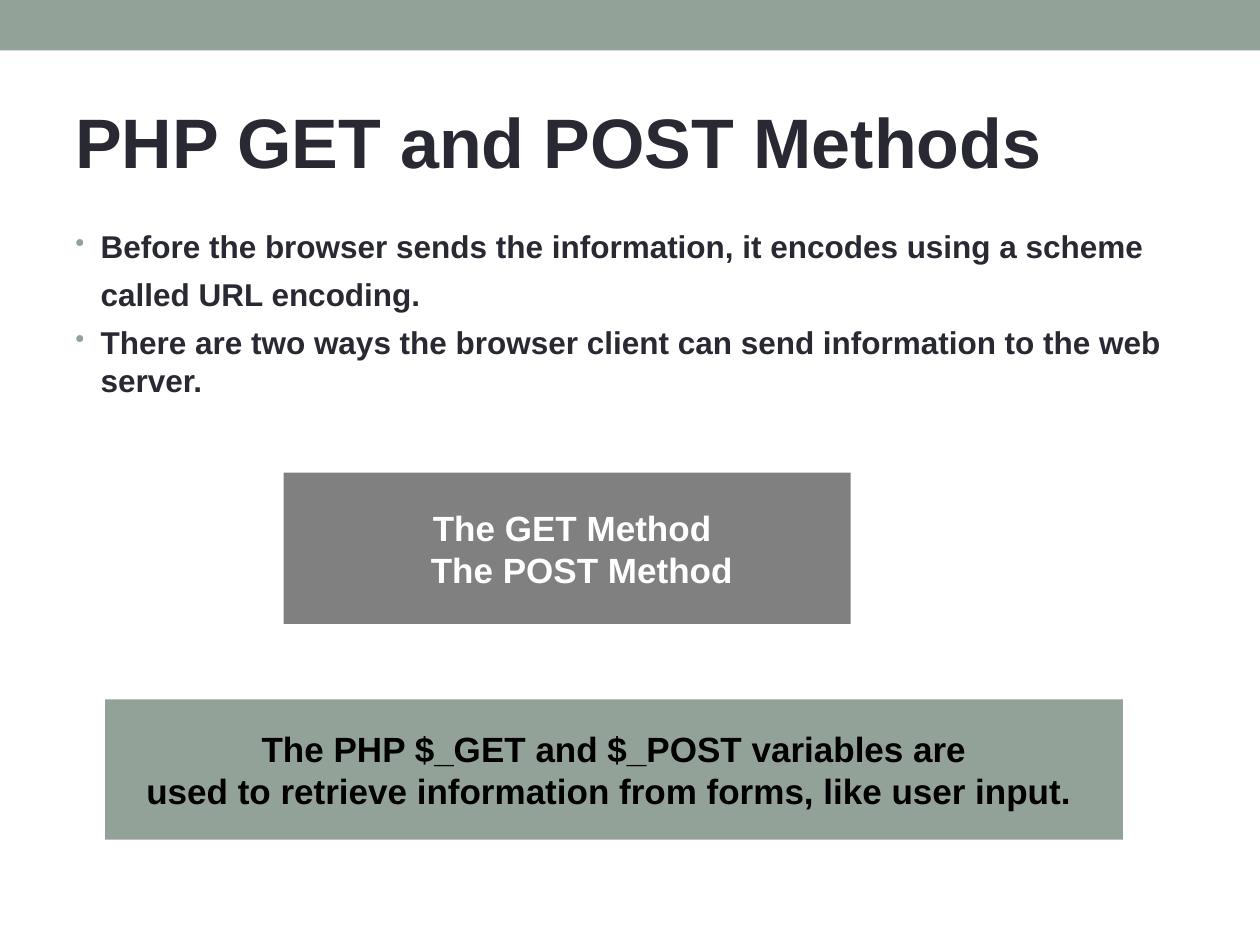
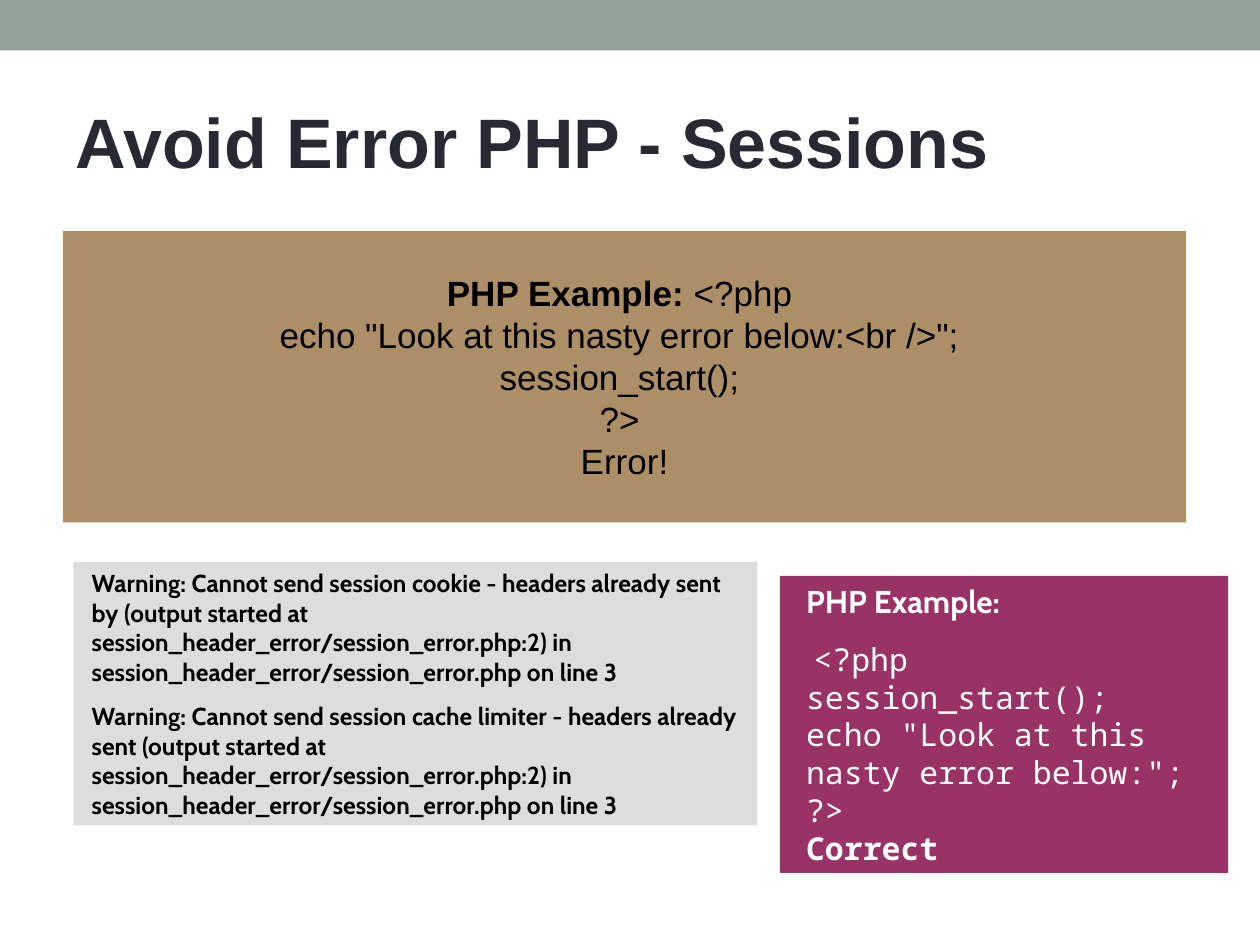
import dataclasses

import pptx
import pptx.dml.color
import pptx.enum.shapes
import pptx.enum.text
import pptx.oxml.ns
import pptx.util
from lxml import etree

Cm = pptx.util.Cm
Pt = pptx.util.Pt
ALIGN = pptx.enum.text.PP_ALIGN
ANCHOR = pptx.enum.text.MSO_ANCHOR


@dataclasses.dataclass(frozen=True)
class Theme:
    sage: str = "93A299"
    ink: str = "292934"
    black: str = "000000"
    white: str = "FFFFFF"
    gray: str = "808080"
    silver: str = "DDDDDD"
    tan: str = "AD8F67"
    plum: str = "993366"
    sans: str = "Arial"
    humanist: str = "Cabin"
    mono: str = "Noto Sans Mono"
    title_size: int = 40
    panel_size: int = 20
    body_size: int = 18
    warning_size: int = 14
    bullet_percent: int = 85


THEME = Theme()


@dataclasses.dataclass
class Line:
    runs: list
    before: float = 0
    left: float = 0
    right: float = 0
    indent: float = 0
    bullet: bool = False


def rgb(value):
    return pptx.dml.color.RGBColor.from_string(value)


def apply_formats(target, formats):
    for name, value in formats.items():
        setattr(target, name, value)


def add_bullet(properties):
    def child(parent, tag, **attributes):
        return etree.SubElement(parent, pptx.oxml.ns.qn(tag), **attributes)

    child(child(properties, "a:buClr"), "a:srgbClr", val=THEME.sage)
    child(properties, "a:buSzPct", val=str(THEME.bullet_percent * 1000))
    child(properties, "a:buChar", char="•")


def write_lines(shape, lines, style, align=ALIGN.LEFT, anchor=ANCHOR.TOP, side=0.25):
    frame = shape.text_frame
    apply_formats(frame, {
        "word_wrap": True, "vertical_anchor": anchor,
        "margin_left": Cm(side), "margin_right": Cm(side),
        "margin_top": Cm(0.13), "margin_bottom": Cm(0.13),
    })
    for number, line in enumerate(lines):
        paragraph = frame.add_paragraph() if number else frame.paragraphs[0]
        properties = paragraph._p.get_or_add_pPr()
        for name, length in {"marL": line.left, "marR": line.right, "indent": line.indent}.items():
            properties.set(name, str(Cm(length)))
        if line.bullet:
            add_bullet(properties)
        apply_formats(paragraph, {"alignment": align, "space_before": Pt(line.before)})
        for text, changes in line.runs:
            run = paragraph.add_run()
            run.text = text
            formats = {**style, **changes}
            run.font.color.rgb = rgb(formats.pop("color"))
            formats["size"] = Pt(formats["size"])
            apply_formats(run.font, formats)


def text_style(size, color, name=THEME.sans, bold=True):
    return {"size": size, "color": color, "name": name, "bold": bold}


def add_panel(slide, box, fill):
    shape = slide.shapes.add_shape(
        pptx.enum.shapes.MSO_SHAPE.RECTANGLE, *map(Cm, box))
    shape.shadow.inherit = False
    shape.fill.solid()
    shape.fill.fore_color.rgb = rgb(fill)
    shape.line.fill.background()
    return shape


def add_centered_panel(slide, box, fill, color, lines):
    write_lines(add_panel(slide, box, fill), lines,
                text_style(THEME.panel_size, color), ALIGN.CENTER, ANCHOR.MIDDLE)


def add_text(slide, box, lines, style, anchor=ANCHOR.TOP):
    write_lines(slide.shapes.add_textbox(*map(Cm, box)), lines, style, anchor=anchor)


def add_titled_slide(presentation, title):
    slide = presentation.slides.add_slide(presentation.slide_layouts[6])
    add_panel(slide, (0, 0, 25.4, 1.02), THEME.sage)
    add_text(slide, (1.27, 1.47, 22.86, 2.74), [Line([(title, {})])],
             text_style(THEME.title_size, THEME.ink), ANCHOR.MIDDLE)
    return slide


def build_methods_slide(presentation):
    slide = add_titled_slide(presentation, "PHP GET and POST Methods")
    bullet = {"left": 0.51, "indent": -0.51, "bullet": True}
    add_text(slide, (1.27, 4.45, 22.86, 4.5), [
        Line([("Before the browser sends the information, it encodes using a scheme "
               "called URL encoding.", {}), (" ", {"size": 24})], **bullet),
        Line([("There are two ways the browser client can send information to the web "
               "server.", {})], before=4.5, **bullet),
    ], text_style(THEME.body_size, THEME.ink))
    add_centered_panel(slide, (5.72, 9.53, 11.43, 3.05), THEME.gray, THEME.white, [
        Line([("The GET Method", {})], left=0.2),
        Line([("The POST Method", {})], left=0.59),
    ])
    add_centered_panel(slide, (2.12, 14.1, 20.52, 2.83), THEME.sage, THEME.black, [
        Line([("The PHP $_GET and $_POST variables are", {})]),
        Line([("used to retrieve information from forms, like user input.", {})], right=0.2),
    ])


def build_sessions_slide(presentation):
    slide = add_titled_slide(presentation, "Avoid Error PHP - Sessions")
    plain = {"bold": False}
    failing_code = ['echo "Look at this nasty error below:<br />";', "session_start();", "?>"]
    add_centered_panel(
        slide, (1.27, 4.66, 22.64, 5.87), THEME.tan, THEME.black,
        [Line([("PHP Example: ", {}), ("<?php", plain)], right=0.2)]
        + [Line([(code, plain)], right=0.2) for code in failing_code]
        + [Line([("Error!", plain)])])

    warnings = [
        Line([(f"Warning: Cannot send session {subject} - headers already sent {origin} "
               "session_header_error/session_error.php:2) in "
               "session_header_error/session_error.php on line 3", {})], before=before)
        for subject, origin, before in [
            ("cookie", "by (output started at", 0),
            ("cache limiter", "(output started at", 8.8)]
    ]
    write_lines(add_panel(slide, (1.48, 11.33, 13.79, 5.31), THEME.silver), warnings,
                text_style(THEME.warning_size, THEME.black, THEME.humanist), side=0.37)

    mono = {"name": THEME.mono, "bold": False}
    working_code = ["session_start();", 'echo "Look at this nasty error below:";', "?>"]
    write_lines(
        add_panel(slide, (15.72, 11.61, 9.04, 5.99), THEME.plum),
        [Line([("PHP Example:", {})]),
         Line([("<?php", mono)], before=11.2, indent=0.15)]
        + [Line([(code, mono)]) for code in working_code]
        + [Line([("Correct", {"name": THEME.mono})])],
        text_style(THEME.body_size, THEME.white, THEME.humanist), side=0.53)


def main():
    presentation = pptx.Presentation()
    apply_formats(presentation, {"slide_width": Cm(25.4), "slide_height": Cm(19.05)})
    build_methods_slide(presentation)
    build_sessions_slide(presentation)
    presentation.save("out.pptx")


if __name__ == "__main__":
    main()
